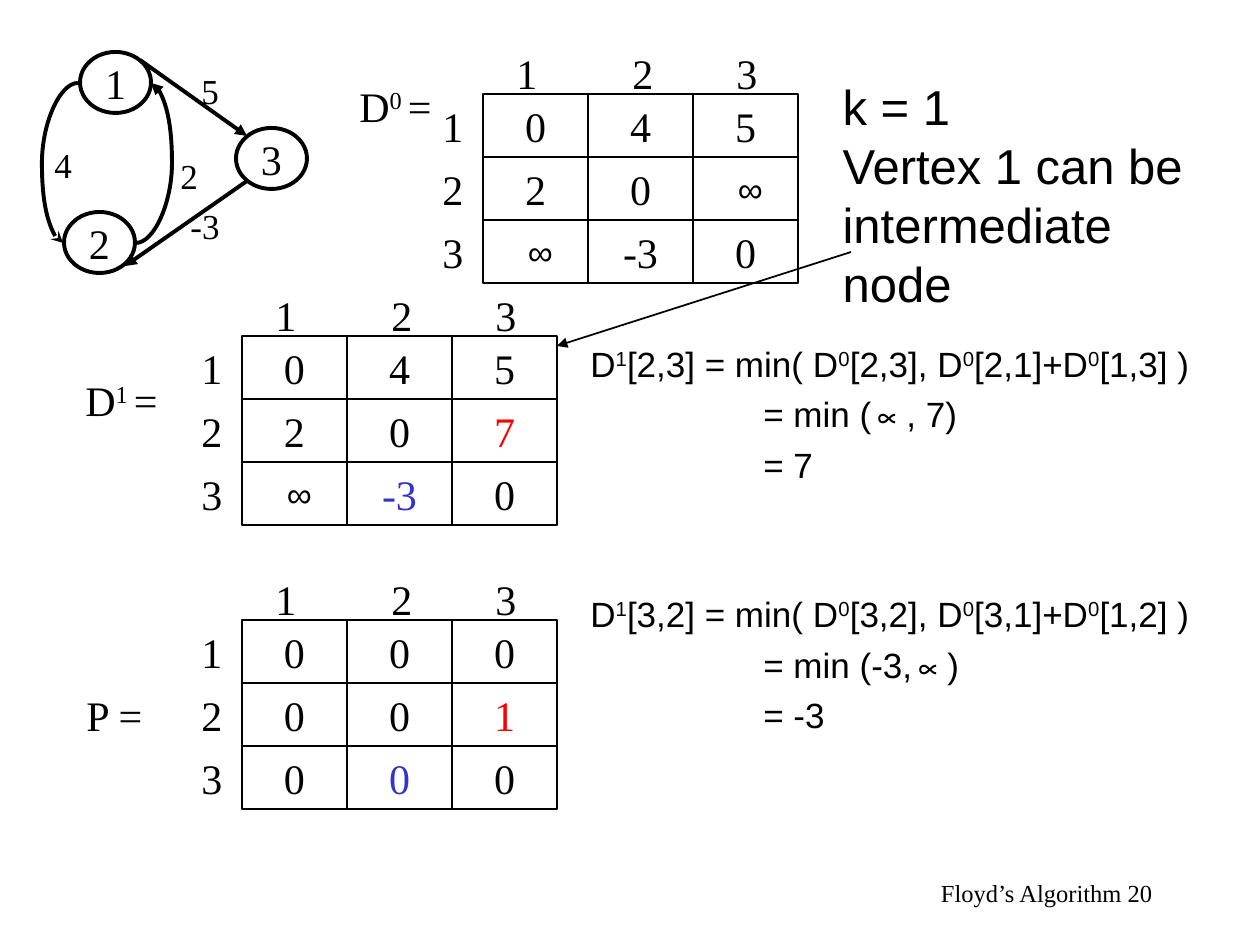
"""Build the Floyd's algorithm slide for k = 1."""
from lxml import etree
from pptx import Presentation
from pptx.dml.color import RGBColor
from pptx.enum.shapes import MSO_CONNECTOR, MSO_SHAPE
from pptx.enum.text import MSO_ANCHOR, PP_ALIGN
from pptx.oxml.ns import qn
from pptx.util import Emu, Pt

PX = 914400 / 126
BLACK = RGBColor(0x00, 0x00, 0x00)
RED = RGBColor(0xFF, 0x00, 0x00)
BLUE = RGBColor(0x33, 0x33, 0xCC)
SERIF, SANS = "Times New Roman", "Arial"
LEFT, CENTER, RIGHT = PP_ALIGN.LEFT, PP_ALIGN.CENTER, PP_ALIGN.RIGHT
MIDDLE = MSO_ANCHOR.MIDDLE
RECTANGLE, OVAL = MSO_SHAPE.RECTANGLE, MSO_SHAPE.OVAL
STRAIGHT, CURVE = MSO_CONNECTOR.STRAIGHT, MSO_CONNECTOR.CURVE


def px(*lengths):
    return [Emu(round(length * PX)) for length in lengths]


def write(paragraph, text, size=24, font=SERIF, color=BLACK, align=LEFT):
    paragraph.alignment = align
    for position, part in enumerate(text.split("^")):
        run = paragraph.add_run()
        run.text = part
        run.font.size = Pt(size)
        run.font.name = font
        run.font.color.rgb = color
        if position % 2:
            run._r.get_or_add_rPr().set("baseline", "30000")


prs = Presentation()
prs.slide_width, prs.slide_height = px(1260, 945)
slide = prs.slides.add_slide(prs.slide_layouts[5])
shapes = slide.shapes

heading = shapes.title
heading.left, heading.top, heading.width, heading.height = px(830, 84, 368, 221)
heading.text_frame.vertical_anchor = MIDDLE
heading_line = heading.text_frame.paragraphs[0]
write(heading_line, "k = 1", size=28, font=SANS)
heading_line.add_line_break()
write(heading_line, "Vertex 1 can be intermediate node", size=28, font=SANS)

CELL_WIDTH, CELL_HEIGHT = 105, 63
COLUMN_LABEL_OFFSETS = (21, 137, 241)
matrices = [
    (483, 94, ["0 4 5", "2 0 ∞", "∞ -3 0"], {}),
    (242, 336, ["0 4 5", "2 0 7", "∞ -3 0"], {(1, 2): RED, (2, 1): BLUE}),
    (242, 620, ["0 0 0", "0 0 1", "0 0 0"], {(1, 2): RED, (2, 1): BLUE}),
]
labels = [
    ("D^0 ^=", 347, 74, 101, 63, 24),
    ("D^1 ^=", 73, 368, 101, 63, 24),
    ("P =", 74, 683, 83, 63, 24),
    ("5", 189, 63, 43, 54, 20),
    ("-3", 178, 198, 54, 54, 20),
    ("2", 168, 148, 43, 54, 20),
    ("4", 42, 137, 43, 54, 20),
]
outlined = [
    (OVAL, "1", 80, 52, 71, 61, 2.25, BLACK),
    (OVAL, "2", 64, 212, 71, 61, 2.25, BLACK),
    (OVAL, "3", 236, 128, 71, 61, 2.25, BLACK),
]
for left, top, rows, highlights in matrices:
    for index, offset in enumerate(COLUMN_LABEL_OFFSETS):
        number = str(index + 1)
        labels.append((number, left + offset, top - 53, 46, 63, 24))
        labels.append((number, left - 53, top + index * CELL_HEIGHT, 46, 63, 24))
    for row, values in enumerate(rows):
        for column, value in enumerate(values.split()):
            outlined.append((RECTANGLE, value, left + column * CELL_WIDTH, top + row * CELL_HEIGHT,
                             CELL_WIDTH, CELL_HEIGHT, 1, highlights.get((row, column), BLACK)))

for outline, value, left, top, width, height, weight, color in outlined:
    entry = shapes.add_shape(outline, *px(left, top, width, height))
    entry.shadow.inherit = False
    entry.fill.background()
    entry.line.color.rgb = BLACK
    entry.line.width = Pt(weight)
    entry.text_frame.word_wrap = False
    entry.text_frame.vertical_anchor = MIDDLE
    if value == "∞":
        write(entry.text_frame.paragraphs[0], " ∞", size=20, font=SANS, align=CENTER)
    else:
        write(entry.text_frame.paragraphs[0], value, color=color, align=CENTER)

for text, left, top, width, height, size in labels:
    label = shapes.add_textbox(*px(left, top, width, height))
    label.text_frame.word_wrap = False
    write(label.text_frame.paragraphs[0], text, size=size)

arrows = [
    (STRAIGHT, (140, 60, 247, 136), 2.25, "tailEnd", "triangle", None),
    (STRAIGHT, (247, 181, 125, 266), 2.25, "tailEnd", "triangle", None),
    (CURVE, (63, 243, 78, 83), 2.25, "headEnd", "stealth", -140600),
    (CURVE, (136, 243, 151, 83), 2.25, "tailEnd", "triangle", 240600),
    (STRAIGHT, (851, 252, 557, 346), 1, "tailEnd", "triangle", None),
]
for route, ends, weight, arrow_end, arrow_type, bend in arrows:
    arrow = shapes.add_connector(route, *px(*ends))
    arrow.line.color.rgb = BLACK
    arrow.line.width = Pt(weight)
    etree.SubElement(arrow.line._get_or_add_ln(), qn("a:" + arrow_end), type=arrow_type)
    properties = arrow._element.spPr
    etree.SubElement(properties, qn("a:effectLst"))
    if bend is not None:
        adjustments = properties.find(qn("a:prstGeom")).get_or_add_avLst()
        etree.SubElement(adjustments, qn("a:gd"), name="adj1", fmla=f"val {bend}")

derivation = shapes.add_textbox(*px(578, 336, 630, 504)).text_frame
derivation.word_wrap = True
steps = [
    ("D^1^[2,3] = min( D^0^[2,3], D^0^[2,1]+D^0^[1,3] )", 0, 0),
    ("= min (∝, 7)", 173, 5),
    ("= 7", 173, 5),
    ("D^1^[3,2] = min( D^0^[3,2], D^0^[3,1]+D^0^[1,2] )", 0, 61),
    ("= min (-3,∝)", 173, 5),
    ("= -3", 173, 5),
]
for index, (text, indent, space) in enumerate(steps):
    step = derivation.add_paragraph() if index else derivation.paragraphs[0]
    step._p.get_or_add_pPr().set("marL", str(px(indent)[0]))
    step.space_before = Pt(space)
    write(step, text, size=20, font=SANS)

footer = shapes.add_textbox(*px(903, 861, 262, 63)).text_frame
footer.word_wrap = False
footer.vertical_anchor = MIDDLE
write(footer.paragraphs[0], "Floyd’s Algorithm 20", size=14, align=RIGHT)

prs.save("out.pptx")
